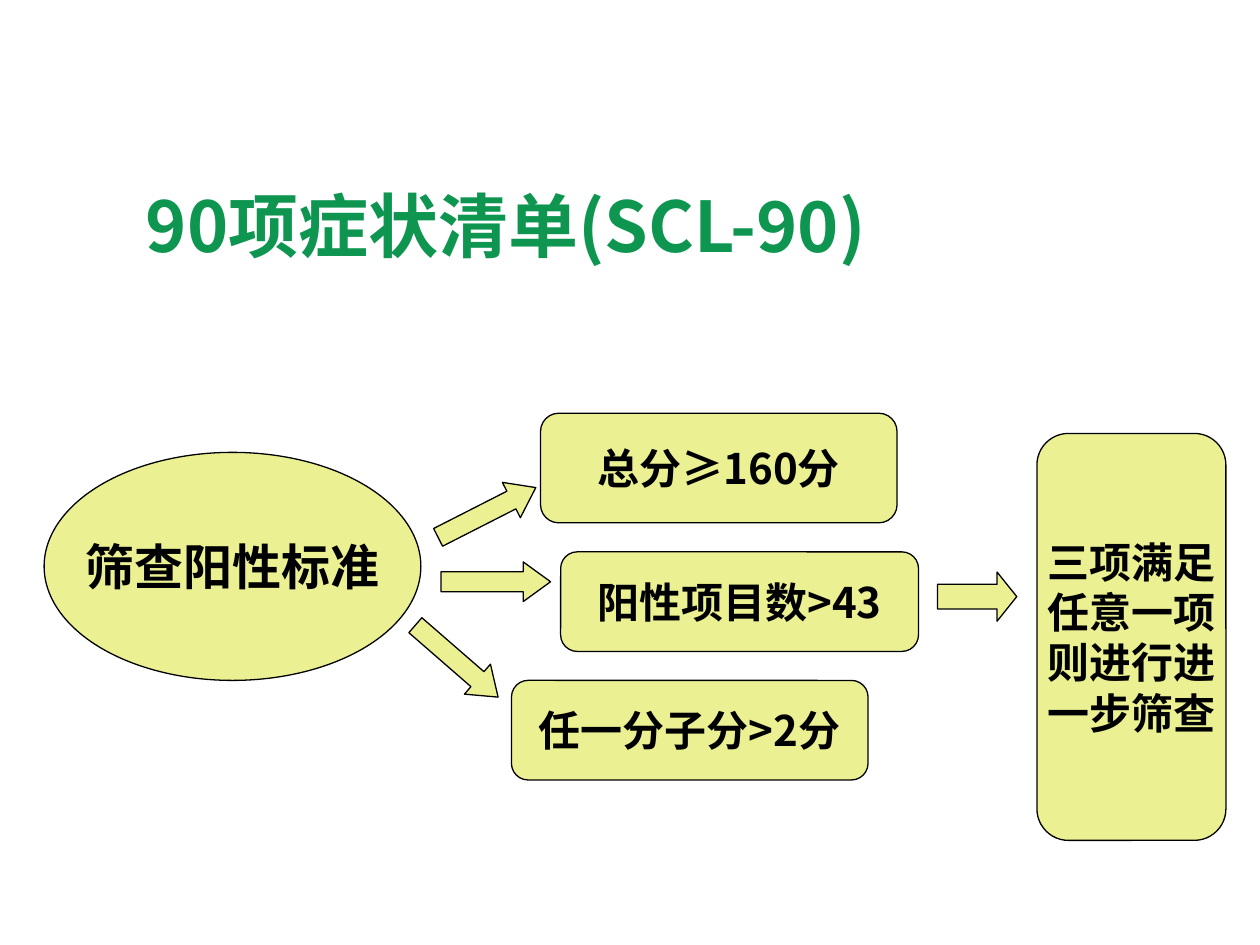
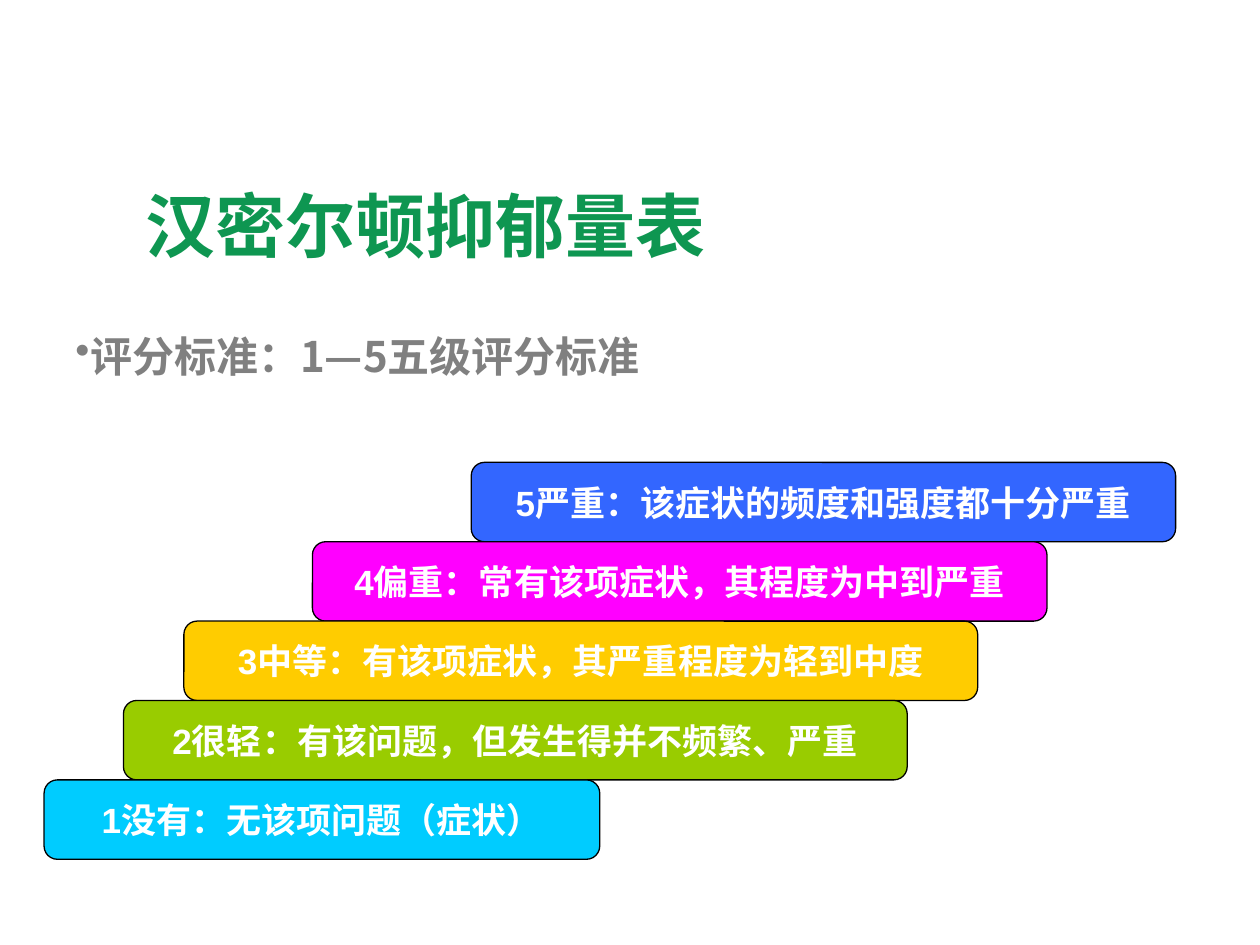
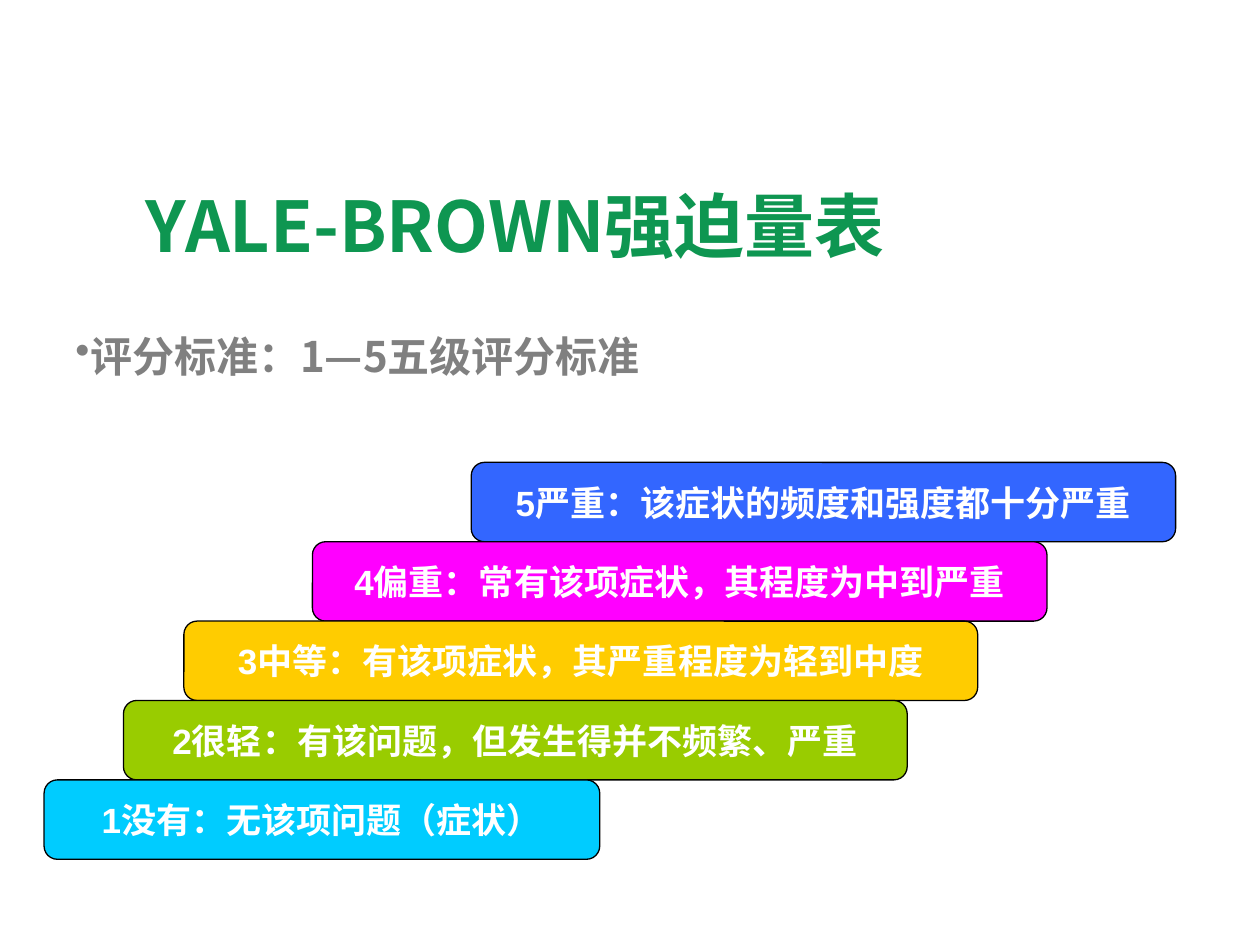
import lxml.etree
import pptx
import pptx.dml.color
import pptx.enum.shapes
import pptx.enum.text
import pptx.oxml.ns
import pptx.util

COLORS = {
    "title": "0E9651", "body": "808080", "outline": "000000", "paper": "FFFFFF",
    "lime": "EBF092", "blue": "3366FF", "pink": "FF00FF", "amber": "FFCC00",
    "green": "99CC00", "cyan": "00CCFF",
}
HAN_FONT, LATIN_FONT = "Noto Sans CJK SC", "Arial"
COLUMNS, ROWS = 100, 75
SHAPES = pptx.enum.shapes.MSO_SHAPE
ANCHORS = pptx.enum.text.MSO_ANCHOR
ALIGNMENTS = pptx.enum.text.PP_ALIGN


def set_all(target, values):
    for name, value in values.items():
        setattr(target, name, value)


def rgb(name):
    return pptx.dml.color.RGBColor.from_string(COLORS[name])


def add_element(parent, tag, **attributes):
    element = lxml.etree.SubElement(parent, pptx.oxml.ns.qn(tag))
    for name, value in attributes.items():
        element.set(name, value)
    return element


class Sheet:
    """Holds the deck, the current page and the shared style."""

    def __init__(self):
        self.deck = pptx.Presentation()
        set_all(self.deck, {"slide_width": pptx.util.Inches(10),
                            "slide_height": pptx.util.Inches(7.5)})
        self.page = None

    def frame(self, left, top, width, height):
        """Turn grid columns and rows into lengths."""
        column = self.deck.slide_width / COLUMNS
        row = self.deck.slide_height / ROWS
        return [round(value) for value in
                (left * column, top * row, width * column, height * row)]

    def new_page(self, title):
        self.page = self.deck.slides.add_slide(self.deck.slide_layouts[6])
        box = self.page.shapes.add_textbox(*self.frame(10.6, 13.9, 84.4, 7.9))
        self.fill_text(box, [title], 40, "title")

    def fill_text(self, box, lines, size, color, font=HAN_FONT, wrap=True,
                  anchor=ANCHORS.MIDDLE, align=ALIGNMENTS.LEFT):
        set_all(box.text_frame, {"word_wrap": wrap, "vertical_anchor": anchor})
        for index, line in enumerate(lines):
            para = (box.text_frame.add_paragraph() if index
                    else box.text_frame.paragraphs[0])
            para.alignment = align
            span = para.add_run()
            span.text = line
            set_all(span.font, {"size": pptx.util.Pt(size), "bold": True, "name": font})
            span.font.color.rgb = rgb(color)
            add_element(span.font._element, "a:ea", typeface=HAN_FONT)

    def bullet(self, text):
        box = self.page.shapes.add_textbox(*self.frame(5, 24.9, 90, 42.5))
        self.fill_text(box, [text], 24, "body", anchor=ANCHORS.TOP)
        para = box.text_frame.paragraphs[0]
        para.line_spacing = 1.2
        settings = para._p.get_or_add_pPr()
        indent = pptx.util.Inches(0.02)
        settings.set("marL", str(indent))
        settings.set("indent", str(-indent))
        tint = add_element(settings, "a:buClr")
        add_element(tint, "a:srgbClr", val=COLORS["body"])
        add_element(settings, "a:buChar", char="•")

    def shape(self, kind, place, fill="lime"):
        shape = self.page.shapes.add_shape(kind, *self.frame(*place))
        shape.shadow.inherit = False
        shape.fill.solid()
        shape.fill.fore_color.rgb = rgb(fill)
        shape.line.color.rgb = rgb("outline")
        shape.line.width = pptx.util.Pt(0.75)
        return shape

    def label(self, kind, place, lines, size=24, color="outline", font=HAN_FONT,
              fill="lime"):
        self.fill_text(self.shape(kind, place, fill), lines, size, color, font,
                       wrap=False, align=ALIGNMENTS.CENTER)

    def arrow(self, place, head=0.69, rotation=0):
        arrow = self.shape(SHAPES.RIGHT_ARROW, place)
        arrow.adjustments[1] = head
        arrow.rotation = rotation


# Screening criteria
CRITERIA = [
    ((42.9, 32.8, 28.3, 8.7), "总分≥160分"),
    ((44.5, 43.8, 28.4, 7.9), "阳性项目数>43"),
    ((40.6, 54, 28.3, 7.9), "任一分子分>2分"),
]
BRANCHES = [(34.3, 39.1, 333), (35, 44.6, 0), (31.9, 50.9, 41)]
NEXT_STEP = ["三项满足", "任意一项", "则进行进", "一步筛查"]

# Severity stairs, from the top step down: left, width, fill, text
STAIRS = [
    (37.4, 55.9, "blue", "5严重：该症状的频度和强度都十分严重"),
    (24.8, 58.3, "pink", "4偏重：常有该项症状，其程度为中到严重"),
    (14.6, 63, "amber", "3中等：有该项症状，其严重程度为轻到中度"),
    (9.8, 62.2, "green", "2很轻：有该问题，但发生得并不频繁、严重"),
    (3.5, 44.1, "cyan", "1没有：无该项问题（症状）"),
]
STAIRS_TOP, STEP_HEIGHT = 36.7, 6.3


def build_screening(sheet):
    sheet.new_page("90项症状清单(SCL-90)")
    sheet.label(SHAPES.OVAL, (3.5, 35.9, 29.9, 18.1), ["筛查阳性标准"], 28,
                font=LATIN_FONT)
    for left, top, rotation in BRANCHES:
        sheet.arrow((left, top, 8.7, 3.15), rotation=rotation)
    for place, text in CRITERIA:
        sheet.label(SHAPES.ROUNDED_RECTANGLE, place, [text])
    sheet.arrow((74.4, 45.4, 6.3, 3.9), head=0.4)
    sheet.label(SHAPES.ROUNDED_RECTANGLE, (82.3, 34.4, 15, 32.3), NEXT_STEP)


def build_scale(sheet, title):
    sheet.new_page(title)
    sheet.bullet("评分标准：1—5五级评分标准")
    for step, (left, width, fill, text) in enumerate(STAIRS):
        place = (left, STAIRS_TOP + step * STEP_HEIGHT, width, STEP_HEIGHT)
        sheet.label(SHAPES.ROUNDED_RECTANGLE, place, [text], 20, "paper",
                    LATIN_FONT, fill)


def main():
    sheet = Sheet()
    build_screening(sheet)
    for title in ("汉密尔顿抑郁量表", "YALE-BROWN强迫量表"):
        build_scale(sheet, title)
    sheet.deck.save("out.pptx")


if __name__ == "__main__":
    main()
